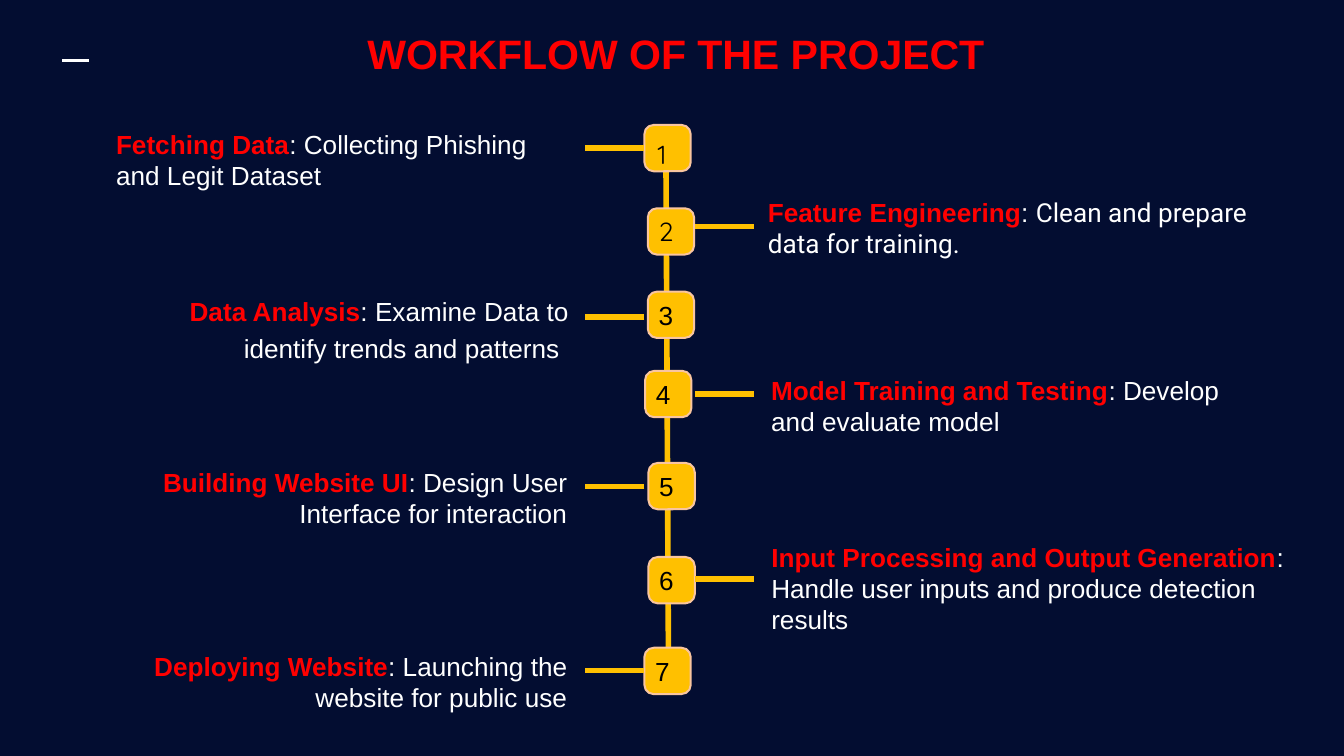
from lxml import etree
from pptx import Presentation
from pptx import util as u
from pptx.dml.color import RGBColor
from pptx.enum import shapes, text
from pptx.oxml import ns

PX = 4572
NAVY, RED, WHITE, GOLD, PEACH, BLACK = (
    "030D31", "FF0000", "FFFFFF", "FFC000", "F9C59F", "000000")
LEFT, RIGHT = text.PP_ALIGN.LEFT, text.PP_ALIGN.RIGHT
TOP, MIDDLE = text.MSO_ANCHOR.TOP, text.MSO_ANCHOR.MIDDLE
FIXED, GROW = text.MSO_AUTO_SIZE.NONE, text.MSO_AUTO_SIZE.SHAPE_TO_FIT_TEXT
BADGE, ARM = 69, 88

STEPS = [
    (88, 0, 34, "left", (153, 171, 718, 134), LEFT, "Fetching Data",
     [(": Collecting Phishing and Legit Dataset", {})]),
    (93, 124, 151, "right", (1123, 272, 768, 134), LEFT, "Feature Engineering",
     [(": ", {}), ("Clean and prepare data for training.", {"font": "Roboto"})]),
    (93, 248, 286, "left", (162, 420, 704, 144), RIGHT, "Data Analysis",
     [(": Examine Data to identify trends and patterns", {}), (" ", {"size": 17})]),
    (89, 366, 400, "right", (1128, 537, 734, 134), LEFT, "Model Training and Testing",
     [(": Develop and evaluate model", {})]),
    (94, 503, 538, "left", (192, 674, 672, 134), RIGHT, "Building Website UI",
     [(": Design User Interface for interaction", {})]),
    (94, 643, 676, "right", (1128, 785, 810, 182), LEFT, "Input Processing and Output Generation",
     [(": Handle user inputs and produce detection results", {})]),
    (88, 778, 812, "left", (160, 948, 704, 134), RIGHT, "Deploying Website",
     [(": Launching the website for public use", {})]),
]


def px(*values):
    """Convert pixel lengths to EMU."""
    return [u.Emu(v * PX) for v in values]


def rgb(value):
    """Turn a hex string into a colour."""
    return RGBColor.from_string(value)


def add_run(p, content, font="Arial", size=14, color=WHITE, bold=False):
    """Add a formatted run to a paragraph."""
    r = p.add_run()
    r.text = content
    r.font.name, r.font.size, r.font.bold = font, u.Pt(size), bold
    r.font.color.rgb = rgb(color)


def set_frame(tf, align, inset=20, anchor=TOP, fit=GROW):
    """Format a text frame and return its first paragraph."""
    tf.word_wrap, tf.auto_size, tf.vertical_anchor = True, fit, anchor
    tf.margin_left, tf.margin_top, tf.margin_right, tf.margin_bottom = px(*[inset] * 4)
    p = tf.paragraphs[0]
    p.alignment = align
    return p


def add_line(s, x1, y1, x2, y2, color=GOLD, width=3):
    """Draw a plain straight line."""
    c = s.shapes.add_connector(shapes.MSO_CONNECTOR.STRAIGHT, *px(x1, y1, x2, y2))
    c.line.color.rgb, c.line.width = rgb(color), u.Pt(width)
    etree.SubElement(c._element.spPr, ns.qn("a:effectLst"))


def add_header(s, x, y, w, h):
    """Place the title and the short dash beside it."""
    add_line(s, x + 87, y + 68, x + 127, y + 68, WHITE, 1.5)
    sp = s.shapes.title
    sp.left, sp.top, sp.width, sp.height = px(x, y, w, h)
    p = set_frame(sp.text_frame, text.PP_ALIGN.CENTER)
    add_run(p, "WORKFLOW OF THE PROJECT", size=22, color=RED, bold=True)


def add_badge(s, x, y, number):
    """Draw a numbered rounded square, the first with its number in a text box."""
    box = px(x, y, BADGE, BADGE)
    sp = s.shapes.add_shape(shapes.MSO_SHAPE.ROUNDED_RECTANGLE, *box)
    sp.adjustments[0] = 0.2
    sp.shadow.inherit = False
    sp.fill.solid()
    sp.fill.fore_color.rgb = rgb(GOLD)
    sp.line.color.rgb, sp.line.width = rgb(PEACH), u.Pt(1.09)
    if number == 1:
        p = set_frame(s.shapes.add_textbox(*box).text_frame, LEFT, fit=FIXED)
    else:
        p = set_frame(sp.text_frame, LEFT, 12, MIDDLE, FIXED)
    add_run(p, str(number), font="Quicksand" if number < 3 else "Arial", color=BLACK)


def add_label(s, x, y, w, h, align, heading, runs):
    """Place the heading and description of a step."""
    p = set_frame(s.shapes.add_textbox(*px(x, y, w, h)).text_frame, align)
    add_run(p, heading, color=RED, bold=True)
    for content, style in runs:
        add_run(p, content, **style)


def add_timeline(s, x, y, w, h):
    """Draw the spine with its badges, arms and labels."""
    add_line(s, x + 120, y + 37, x + 124, y + h)
    for number, (bx, by, arm, side, box, align, heading, runs) in enumerate(STEPS, 1):
        add_badge(s, x + bx, y + by, number)
        start = x if side == "left" else x + w - ARM
        add_line(s, start + ARM, y + arm, start, y + arm)
        add_label(s, *box, align, heading, runs)


def main():
    """Build and save the slide."""
    prs = Presentation()
    prs.slide_width, prs.slide_height = px(2000, 1125)
    s = prs.slides.add_slide(prs.slide_layouts[5])
    s.background.fill.solid()
    s.background.fill.fore_color.rgb = rgb(NAVY)
    add_header(s, 6, 22, 2000, 114)
    add_timeline(s, 871, 186, 251, 846)
    prs.save("out.pptx")


if __name__ == "__main__":
    main()
